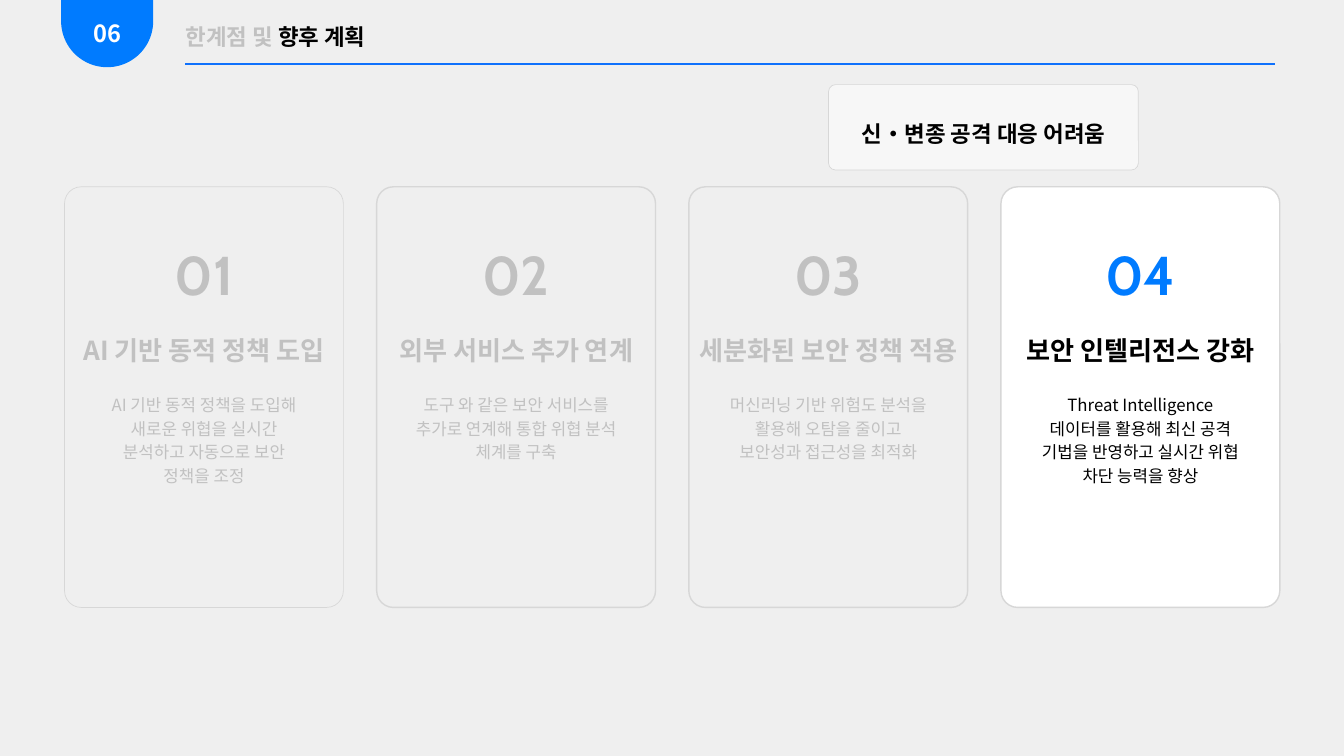
"""Build the future plans slide: a header, four plan cards and a callout."""
from lxml import etree
from pptx import Presentation
from pptx.dml.color import RGBColor
from pptx.enum.shapes import MSO_CONNECTOR, MSO_SHAPE
from pptx.enum.text import MSO_ANCHOR, MSO_AUTO_SIZE, PP_ALIGN
from pptx.oxml.ns import qn
from pptx.util import Inches, Pt

ROUNDED = MSO_SHAPE.ROUNDED_RECTANGLE
STRAIGHT = MSO_CONNECTOR.STRAIGHT
TOP, MIDDLE, BOTTOM = MSO_ANCHOR.TOP, MSO_ANCHOR.MIDDLE, MSO_ANCHOR.BOTTOM
LEFT, CENTER = PP_ALIGN.LEFT, PP_ALIGN.CENTER
NO_AUTOFIT = MSO_AUTO_SIZE.NONE

SANS, DISPLAY = "Noto Sans CJK SC", "Cabin"
BACKGROUND, WHITE, BLACK = "EFEFEF", "FFFFFF", "000000"
MUTED, BORDER, BLUE, RULE_BLUE = "C1C1C1", "D7D7D7", "007BFF", "0F71FC"

SECTION = "06"
TITLE = [("한계점 및 ", MUTED), ("향후 계획", BLACK)]
CALLOUT = "신·변종 공격 대응 어려움"
CARDS = [
    ("AI 기반 동적 정책 도입",
     "AI 기반 동적 정책을 도입해 새로운 위협을 실시간 분석하고 자동으로 보안 정책을 조정"),
    ("외부 서비스 추가 연계",
     "도구 와 같은 보안 서비스를 추가로 연계해 통합 위협 분석 체계를 구축"),
    ("세분화된 보안 정책 적용",
     "머신러닝 기반 위험도 분석을 활용해 오탐을 줄이고 보안성과 접근성을 최적화"),
    ("보안 인텔리전스 강화",
     "Threat Intelligence 데이터를 활용해 최신 공격 기법을 반영하고 실시간 위협 차단 능력을 향상"),
]
ACTIVE_CARD = 4

CARD_LEFT, CARD_TOP, CARD_WIDTH, CARD_HEIGHT = 0.96, 2.78, 4.15, 6.26
CARD_STEP = 4.645

NUMBER = {"size": 58.5, "bold": True, "name": DISPLAY, "spacing": 81.9}
HEADING = {"size": 28, "bold": True, "name": SANS, "spacing": 42}
BODY = {"size": 18, "bold": False, "name": SANS, "spacing": 25.2}
TITLE_STYLE = {"size": 24, "bold": True, "name": SANS, "spacing": 33.6}
CALLOUT_STYLE = {**TITLE_STYLE, "spacing": 42}
SECTION_STYLE = {"size": 25.3, "bold": True, "name": SANS, "spacing": 35.9}
CARD_PARTS = [(3.42, 1.44, 1.15, NUMBER), (4.86, CARD_WIDTH, 0.54, HEADING), (5.83, 3.01, 1.4, BODY)]


def color(value):
    """Turn a hex string into a colour."""
    return RGBColor.from_string(value)


def write(box, spans, style, align=CENTER, anchor=TOP, bottom=0):
    """Write coloured spans as the only paragraph of a shape."""
    frame = box.text_frame
    layout = {"word_wrap": True, "auto_size": NO_AUTOFIT, "vertical_anchor": anchor,
              "margin_left": 0, "margin_right": 0, "margin_top": 0, "margin_bottom": Inches(bottom)}
    for name, value in layout.items():
        setattr(frame, name, value)
    para = frame.paragraphs[0]
    para.alignment = align
    para.line_spacing = Pt(style["spacing"])
    font = {"size": Pt(style["size"]), "bold": style["bold"], "name": style["name"]}
    for text, hue in spans:
        span = para.add_run()
        span.text = text
        for name, value in font.items():
            setattr(span.font, name, value)
        span.font.color.rgb = color(hue)
        east_asian = etree.Element(qn("a:ea"), typeface=style["name"])
        span.font._element.find(qn("a:latin")).addnext(east_asian)


def add_panel(page, place, radius, fill=None, line=None, width=0.75):
    """Add a rounded panel with an optional fill and outline."""
    panel = page.shapes.add_shape(ROUNDED, *map(Inches, place))
    panel.shadow.inherit = False
    panel.adjustments[0] = radius
    if fill:
        panel.fill.solid()
        panel.fill.fore_color.rgb = color(fill)
    else:
        panel.fill.background()
    if line:
        panel.line.color.rgb = color(line)
        panel.line.width = Pt(width)
    else:
        panel.line.fill.background()
    return panel


def add_header(page):
    """Add the section tab, the title and the rule below it."""
    tab = add_panel(page, (0.91, -1, 1.37, 2), 0.5, BLUE)
    write(tab, [(SECTION, WHITE)], SECTION_STYLE, anchor=BOTTOM, bottom=0.09)
    title = page.shapes.title
    place = {"left": 2.76, "top": 0.27, "width": 9.74, "height": 0.48}
    for name, value in place.items():
        setattr(title, name, Inches(value))
    write(title, TITLE, TITLE_STYLE, align=LEFT)
    rule = page.shapes.add_connector(STRAIGHT, *map(Inches, (2.76, 0.95, 18.98, 0.95)))
    rule.line.color.rgb = color(RULE_BLUE)
    rule.line.width = Pt(1.5)
    etree.SubElement(rule._element.spPr, qn("a:effectLst"))


def add_card(page, number, heading, body):
    """Add one plan card with its number, heading and body."""
    active = number == ACTIVE_CARD
    left = CARD_LEFT + (number - 1) * CARD_STEP
    add_panel(page, (left, CARD_TOP, CARD_WIDTH, CARD_HEIGHT), 0.06,
              WHITE if active else None, BORDER, 0.75 if number == 1 else 1.5)
    hues = (BLUE, BLACK, BLACK) if active else (MUTED,) * 3
    texts = (f"{number:02}", heading, body)
    for text, hue, (top, width, height, style) in zip(texts, hues, CARD_PARTS):
        start = left + (CARD_WIDTH - width) / 2
        box = page.shapes.add_textbox(*map(Inches, (start, top, width, height)))
        write(box, [(text, hue)], style)


def add_callout(page):
    """Add the half-transparent callout above the active card."""
    callout = add_panel(page, (12.33, 1.26, 4.61, 1.27), 0.08, WHITE, BORDER)
    fill = callout._element.spPr.find(qn("a:solidFill"))
    etree.SubElement(fill[0], qn("a:alpha"), val="50000")
    write(callout, [(CALLOUT, BLACK)], CALLOUT_STYLE, anchor=MIDDLE)


def main():
    """Build and save the deck."""
    deck = Presentation()
    deck.slide_width, deck.slide_height = Inches(20), Inches(11.25)
    page = deck.slides.add_slide(deck.slide_layouts[5])
    page.background.fill.solid()
    page.background.fill.fore_color.rgb = color(BACKGROUND)
    add_header(page)
    for number, (heading, body) in enumerate(CARDS, 1):
        add_card(page, number, heading, body)
    add_callout(page)
    deck.save("out.pptx")


if __name__ == "__main__":
    main()
